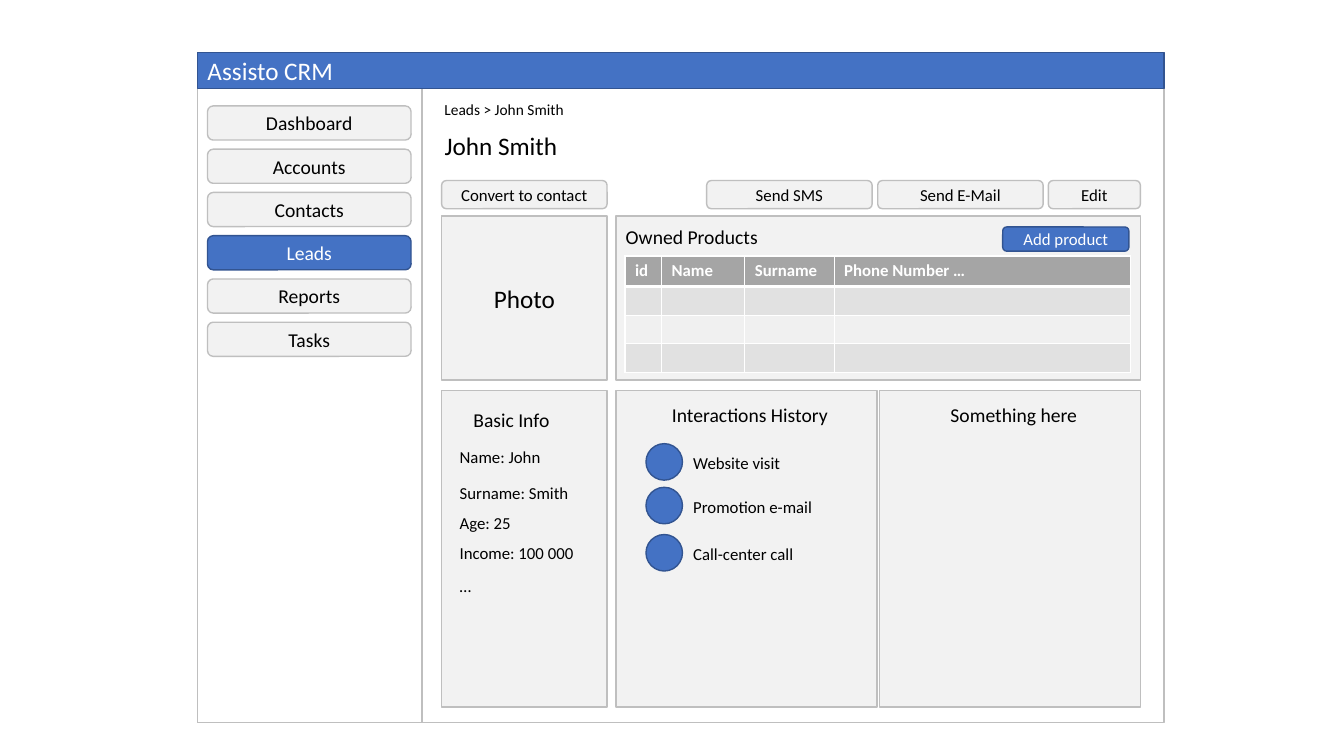
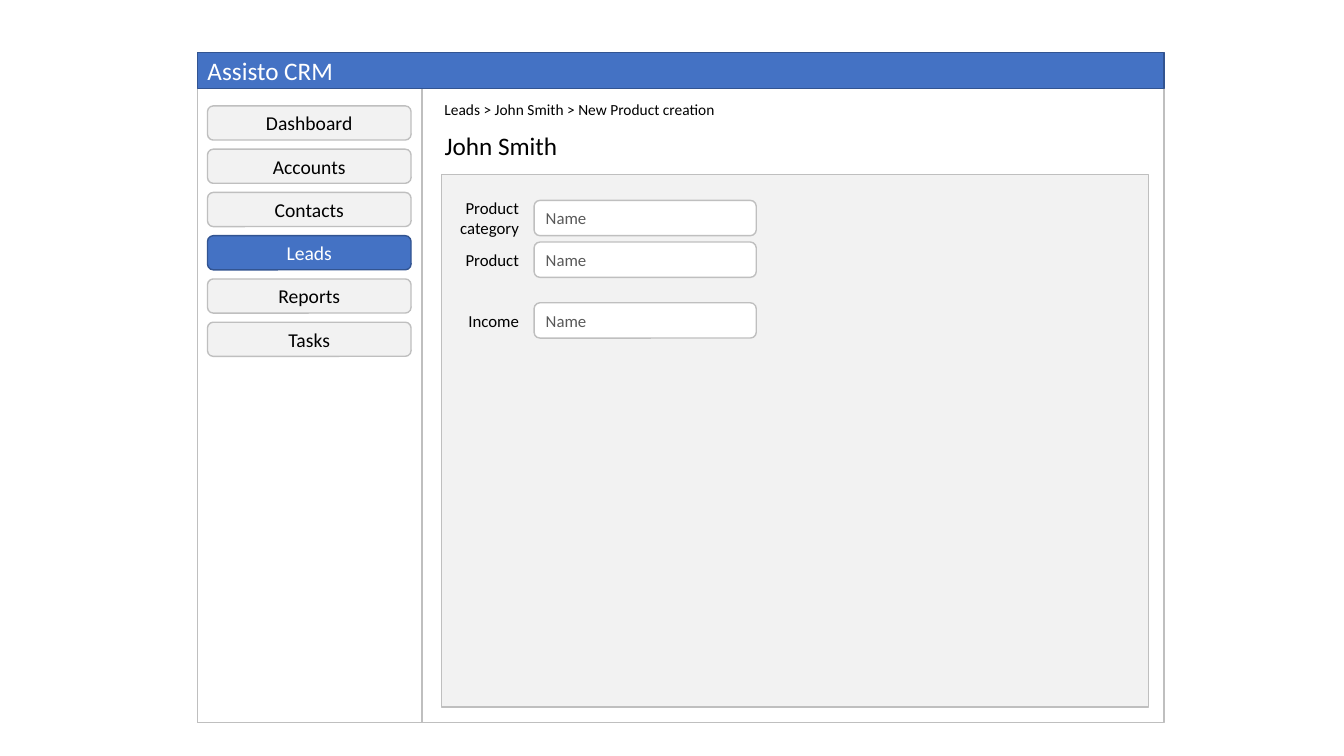
import lxml.etree
import pptx
import pptx.dml.color
import pptx.enum.shapes
import pptx.enum.text
import pptx.oxml.ns
import pptx.util

Cm = pptx.util.Cm
Pt = pptx.util.Pt
qn = pptx.oxml.ns.qn
SHAPE = pptx.enum.shapes.MSO_SHAPE
ALIGN = pptx.enum.text.PP_ALIGN
ANCHOR = pptx.enum.text.MSO_ANCHOR

MENU = ["Dashboard", "Accounts", "Contacts", "Leads", "Reports", "Tasks"]
LEFT_COLUMN, MIDDLE_COLUMN, RIGHT_COLUMN = 11.13, 15.52, 22.17
UPPER_ROW, LOWER_ROW = 5.44, 9.84


def color(value):
    return pptx.dml.color.RGBColor.from_string(value)


class Wireframe:
    """Hold the style and the current slide of the application mock-up."""

    FONT = "Calibri"
    BLACK = "000000"
    WHITE = "FFFFFF"
    TABLE_HEADER = "A5A5A5"
    TABLE_BANDS = ("E1E1E1", "F0F0F0")
    STYLES = {
        "window": ("FFFFFF", "BFBFBF", "000000"),
        "plain": ("F2F2F2", "BFBFBF", "000000"),
        "accent": ("4472C4", "325491", "FFFFFF"),
        "input": ("FFFFFF", "BFBFBF", "595959"),
    }

    def __init__(self):
        self.presentation = pptx.Presentation()
        self.presentation.slide_width = Cm(33.87)
        self.presentation.slide_height = Cm(19.05)
        self.slide = None

    def set_text(self, text_frame, text, size, ink=BLACK, align=ALIGN.LEFT, bold=False):
        text_frame.text = text
        for paragraph in text_frame.paragraphs:
            paragraph.alignment = align
            for run in paragraph.runs:
                run.font.name = self.FONT
                run.font.size = Pt(size)
                run.font.bold = bold
                run.font.color.rgb = color(ink)

    def box(self, left, top, width, height, style="plain", text="", size=12,
            align=ALIGN.CENTER, kind=SHAPE.RECTANGLE):
        fill, line, ink = self.STYLES[style]
        shape = self.slide.shapes.add_shape(
            kind, Cm(left), Cm(top), Cm(width), Cm(height))
        shape.shadow.inherit = False
        shape.fill.solid()
        shape.fill.fore_color.rgb = color(fill)
        shape.line.color.rgb = color(line)
        shape.line.width = Pt(1)
        if text:
            self.set_text(shape.text_frame, text, size, ink, align)

    def button(self, left, top, width, height, text, size=12, style="plain",
               align=ALIGN.CENTER):
        self.box(left, top, width, height, style, text, size, align,
                 SHAPE.ROUNDED_RECTANGLE)

    def label(self, left, top, width, height, text, size=12, align=ALIGN.LEFT,
              anchor=ANCHOR.TOP):
        shape = self.slide.shapes.add_textbox(
            Cm(left), Cm(top), Cm(width), Cm(height))
        shape.text_frame.word_wrap = True
        shape.text_frame.vertical_anchor = anchor
        self.set_text(shape.text_frame, text, size, align=align)

    def placeholder(self, shape, left, top, width, height, text, size):
        shape.left, shape.top = Cm(left), Cm(top)
        shape.width, shape.height = Cm(width), Cm(height)
        shape.text_frame.auto_size = pptx.enum.text.MSO_AUTO_SIZE.NONE
        shape.text_frame.vertical_anchor = ANCHOR.TOP
        self.set_text(shape.text_frame, text, size)
        shape.element.getparent().append(shape.element)

    def items(self, left, top, width, height, lines, gaps):
        shape = self.slide.placeholders[1]
        self.placeholder(shape, left, top, width, height, "\n".join(lines), 12)
        for paragraph, gap in zip(shape.text_frame.paragraphs, gaps):
            paragraph.space_before = Pt(gap)
        for properties in shape.element.iter(qn("a:pPr")):
            properties.set("marL", "0")
            properties.set("indent", "0")
            lxml.etree.SubElement(properties, qn("a:buNone"))

    def table(self, left, top, widths, heights, headers):
        frame = self.slide.shapes.add_table(
            len(heights), len(widths), Cm(left), Cm(top),
            Cm(sum(widths)), Cm(sum(heights)))
        table = frame.table
        for column, width in zip(table.columns, widths):
            column.width = Cm(width)
        for row, height in zip(table.rows, heights):
            row.height = Cm(height)
        for index, cell in enumerate(table.iter_cells()):
            row = index // len(widths)
            cell.fill.solid()
            cell.fill.fore_color.rgb = color(
                self.TABLE_BANDS[(row - 1) % 2] if row else self.TABLE_HEADER)
            if row == 0:
                self.set_text(cell.text_frame, headers[index], 12, self.WHITE, bold=True)
        for row, row_element in enumerate(frame.element.iter(qn("a:tr"))):
            for cell_element in row_element.iter(qn("a:tc")):
                self.cell_borders(cell_element, row)
                if row:
                    paragraph = cell_element.find(".//" + qn("a:p"))
                    lxml.etree.SubElement(paragraph, qn("a:endParaRPr"), sz="1000")

    def cell_borders(self, cell_element, row):
        widths = {"lnL": 1, "lnR": 1, "lnT": 3 if row == 1 else 1,
                  "lnB": 3 if row == 0 else 1}
        properties = cell_element.find(qn("a:tcPr"))
        for position, (side, width) in enumerate(widths.items()):
            border = lxml.etree.Element(qn("a:" + side), w=str(int(Pt(width))))
            fill = lxml.etree.SubElement(border, qn("a:solidFill"))
            lxml.etree.SubElement(fill, qn("a:srgbClr"), val=self.WHITE)
            properties.insert(position, border)

    def page(self, layout, title, breadcrumb, current):
        self.slide = self.presentation.slides.add_slide(
            self.presentation.slide_layouts.get_by_name(layout))
        self.box(4.98, 1.32, 24.36, 16.89, "window")
        self.box(4.98, 1.32, 5.66, 16.89, "window")
        self.box(4.98, 1.32, 24.36, 0.91, "accent", "Assisto CRM", 18, ALIGN.LEFT)
        self.placeholder(self.slide.shapes.title, 10.95, 3.15, 9.02, 1.02, title, 18)
        self.label(10.95, 2.41, 8.46, 0.74, breadcrumb, 11)
        for index, name in enumerate(MENU):
            self.button(5.23, 2.67 + 1.09 * index, 5.13, 0.86, name, 14,
                        "accent" if name == current else "plain")


def lead_page(wireframe):
    wireframe.page("Title and Content", "John Smith", "Leads > John Smith", "Leads")
    for left, width, text in [
            (LEFT_COLUMN, 4.17, "Convert to contact"), (17.81, 4.17, "Send SMS"),
            (22.12, 4.17, "Send E-Mail"), (26.42, 2.32, "Edit")]:
        wireframe.button(left, 4.55, width, 0.71, text)

    wireframe.box(LEFT_COLUMN, UPPER_ROW, 4.17, 4.14, text="Photo", size=18)
    wireframe.box(MIDDLE_COLUMN, UPPER_ROW, 13.23, 4.14)
    wireframe.label(MIDDLE_COLUMN, 5.54, 6.1, 0.86, "Owned Products", 14)
    wireframe.button(25.27, 5.72, 3.18, 0.61, "Add product", style="accent")
    wireframe.table(15.75, 6.45, [0.92, 2.1, 2.25, 7.47], [0.77, 0.72, 0.72, 0.72],
                    ["id", "Name", "Surname", "Phone Number …"])

    wireframe.box(LEFT_COLUMN, LOWER_ROW, 4.17, 7.98)
    wireframe.label(11.68, 10.16, 3.05, 0.86, "Basic Info", 14)
    wireframe.items(11.33, 11.13, 3.71, 4.3,
                    ["Name: John", "Surname: Smith", "Age: 25", "Income: 100 000", "…"],
                    [0, 11.3, 7, 7, 9.1])
    for left, heading in [(MIDDLE_COLUMN, "Interactions History"),
                          (RIGHT_COLUMN, "Something here")]:
        wireframe.box(left, LOWER_ROW, 6.58, 7.98)
        wireframe.label(left + 0.33, 10.03, 6.1, 0.86, heading, 14, ALIGN.CENTER)
    for top, text in [(11.18, "Website visit"), (12.28, "Promotion e-mail"),
                      (13.47, "Call-center call")]:
        wireframe.box(16.28, top, 0.92, 0.92, "accent", kind=SHAPE.OVAL)
        wireframe.label(17.22, top + 0.1, 3.71, 0.76, text)


def new_product_page(wireframe):
    wireframe.page("Title Only", "John Smith",
                   "Leads > John Smith > New Product creation", "Leads")
    wireframe.box(LEFT_COLUMN, 4.4, 17.81, 13.42)
    for top, text in [(5.05, "Product category"), (6.1, "Product"), (7.63, "Income")]:
        wireframe.button(13.46, top, 5.6, 0.89, "Name", style="input", align=ALIGN.LEFT)
        wireframe.label(LEFT_COLUMN, top, 2.2, 0.89, text, align=ALIGN.RIGHT,
                        anchor=ANCHOR.MIDDLE)


def main():
    wireframe = Wireframe()
    lead_page(wireframe)
    new_product_page(wireframe)
    wireframe.presentation.save("out.pptx")


if __name__ == "__main__":
    main()
